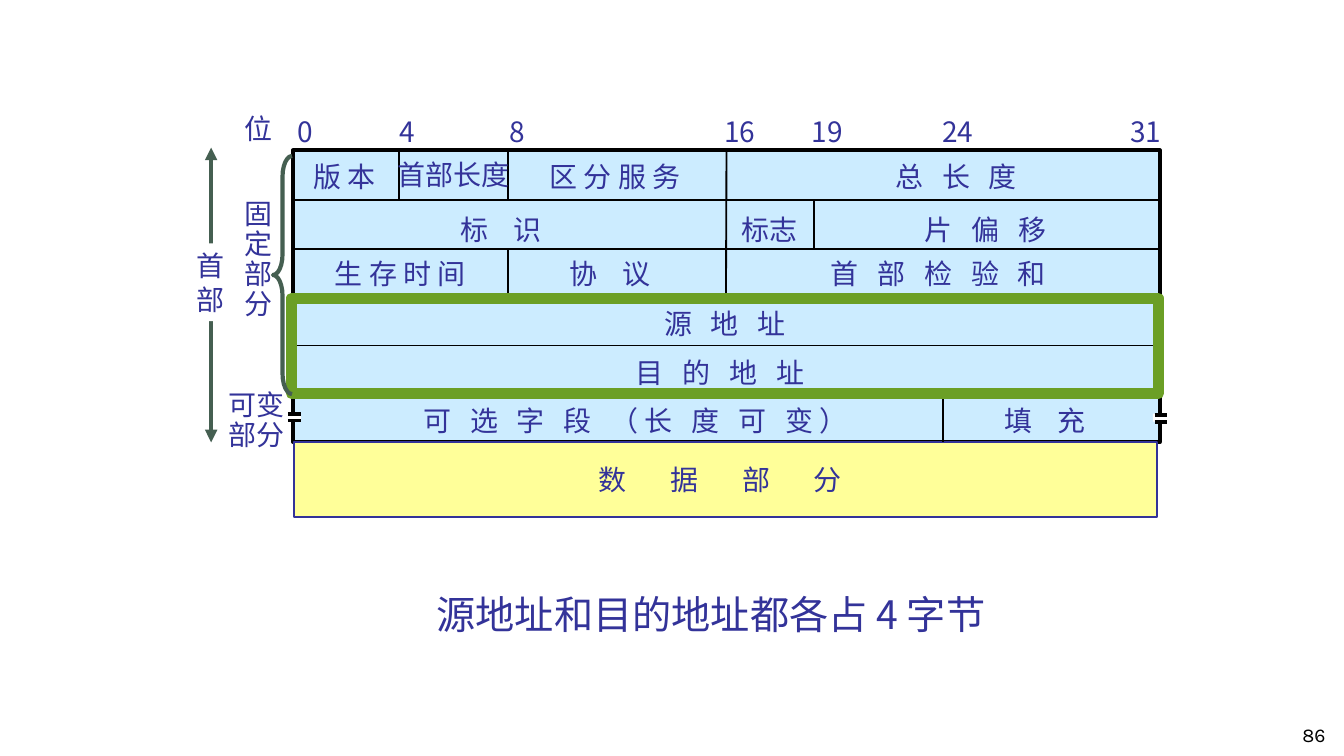
from lxml import etree
from pptx import Presentation
from pptx.dml.color import RGBColor
from pptx.enum.shapes import MSO_CONNECTOR, MSO_SHAPE
from pptx.enum.text import MSO_ANCHOR, MSO_AUTO_SIZE, PP_ALIGN
from pptx.oxml.ns import qn
from pptx.util import Cm, Pt

NAVY = RGBColor(0x33, 0x33, 0x99)
BLACK = RGBColor(0, 0, 0)
WHITE = RGBColor(0xFF, 0xFF, 0xFF)
SKY = RGBColor(0xCC, 0xEC, 0xFF)
YELLOW = RGBColor(0xFF, 0xFF, 0x99)
GREEN = RGBColor(0x6B, 0x9F, 0x25)
SLATE = RGBColor(0x45, 0x5F, 0x51)
CJK = "Noto Sans CJK SC"
SPACE_WIDTH = 336

BIT_X = {0: 5.54, 4: 7.54, 8: 9.6, 16: 13.72, 19: 15.39, 24: 17.83, 32: 21.93}
ROW_Y = [2.84, 3.78, 4.7, 5.61, 6.53, 7.47, 8.36]
DIVIDERS = [(4, 0, 1), (8, 0, 1), (8, 2, 3), (24, 5, 6), (19, 1, 2)]

BIT_LABELS = [("0", 5.44), ("4", 7.37), ("8", 9.45), ("16", 13.51),
              ("19", 15.16), ("24", 17.63), ("31", 21.18)]

# text, spaces' worth of gap between characters, left, width
FIELD_ROWS = [
    (2.92, [("版 本", 1, 5.74, 1.6), ("区 分 服 务", 1, 10.21, 3),
            ("总 长 度", 3, 16.74, 2.95)]),
    (2.87, [("首部长度", 1, 7.34, 2.51)]),
    (3.91, [("标 识", 4, 8.53, 2.08), ("标志", 1, 13.84, 1.45),
            ("片 偏 移", 3, 17.3, 2.95)]),
    (4.75, [("生 存 时 间", 1, 6.15, 3), ("协 议", 4, 10.59, 2.08),
            ("首 部 检 验 和", 3, 15.52, 4.98)]),
    (5.69, [("源 地 址", 3, 12.37, 2.95)]),
    (6.63, [("目 的 地 址", 3, 11.84, 3.96)]),
    (7.52, [("可 选 字 段 （长 度 可 变）", 3, 7.82, 8.94),
            ("填 充", 4, 18.8, 2.08)]),
    (8.64, [("数 据 部 分", 7, 11.13, 6.07)]),
]
SIDE_LABELS = [("位", 4.45, 2.01, 0.91, 0.84, 1),
               ("固\n定\n部\n分", 4.45, 3.68, 0.91, 2.49, 0.9),
               ("可变\n部分", 4.14, 7.29, 1.45, 1.35, 0.9)]
BREAKS = [(5.41, 7.8), (21.79, 7.82)]
CAPTION = "源地址和目的地址都各占 4 字节"


def add_box(slide, kind, x, y, w, h, fill=None, line=None, weight=1):
    sp = slide.shapes.add_shape(kind, Cm(x), Cm(y), Cm(w), Cm(h))
    sp.shadow.inherit = False
    if fill is None:
        sp.fill.background()
    else:
        sp.fill.solid()
        sp.fill.fore_color.rgb = fill
    if line is None:
        sp.line.fill.background()
    else:
        sp.line.color.rgb = line
        sp.line.width = Pt(weight)
    return sp


def add_line(slide, x1, y1, x2, y2, color=BLACK, weight=1):
    line = slide.shapes.add_connector(MSO_CONNECTOR.STRAIGHT,
                                      Cm(x1), Cm(y1), Cm(x2), Cm(y2))
    line.line.color.rgb = color
    line.line.width = Pt(weight)
    etree.SubElement(line._element.spPr, qn("a:effectLst"))
    return line


def write(sp, text, size=15, spacing=1, gap=1):
    tf = sp.text_frame
    tf.text = text
    tf.word_wrap = False
    tf.auto_size = MSO_AUTO_SIZE.SHAPE_TO_FIT_TEXT
    tf.vertical_anchor = MSO_ANCHOR.TOP
    tf.margin_left = tf.margin_right = Cm(0.18)
    tf.margin_top = tf.margin_bottom = Cm(0.1)
    for p in tf.paragraphs:
        p.alignment = PP_ALIGN.LEFT
        p.line_spacing = spacing
        for r in p.runs:
            r.font.size = Pt(size)
            r.font.name = CJK
            r.font.color.rgb = NAVY
            rpr = r.font._element
            etree.SubElement(rpr, qn("a:ea")).set("typeface", CJK)
            if gap > 1:
                rpr.set("spc", str((gap - 1) * SPACE_WIDTH // 2))
    return tf


def add_label(slide, text, x, y, w, h=0.84, **style):
    sp = slide.shapes.add_textbox(Cm(x), Cm(y), Cm(w), Cm(h))
    return write(sp, text, **style)


def add_header_arrow(slide):
    arrow = add_line(slide, 3.99, 2.79, 3.99, 8.36, SLATE, 2.25)
    ln = arrow.line._get_or_add_ln()
    for end in ("a:headEnd", "a:tailEnd"):
        etree.SubElement(ln, qn(end)).set("type", "triangle")
    write(add_box(slide, MSO_SHAPE.RECTANGLE, 3.53, 4.6, 0.91, 1.47, WHITE), "首\n部")


def add_grid(slide):
    header = add_box(slide, MSO_SHAPE.RECTANGLE, BIT_X[0], ROW_Y[0], 16.38,
                     ROW_Y[-1] - ROW_Y[0], SKY, BLACK, 2)
    add_box(slide, MSO_SHAPE.RECTANGLE, 5.56, ROW_Y[-1], 16.31, 1.42, YELLOW, NAVY)
    rules = [add_line(slide, BIT_X[0], y, BIT_X[32], y) for y in ROW_Y[1:-1]]
    rules[2].begin_connect(header, 1)
    rules[2].end_connect(header, 3)
    for bit, top, bottom in DIVIDERS:
        add_line(slide, BIT_X[bit], ROW_Y[top], BIT_X[bit], ROW_Y[bottom])
    middle = add_line(slide, BIT_X[16], ROW_Y[0], BIT_X[16], ROW_Y[3])
    middle.begin_connect(header, 0)


def main():
    prs = Presentation()
    prs.slide_width, prs.slide_height = Cm(25.4), Cm(14.29)
    slide = prs.slides.add_slide(prs.slide_layouts[6])

    add_header_arrow(slide)
    add_grid(slide)
    for text, x in BIT_LABELS:
        add_label(slide, text, x, 2.06, 0.69 if len(text) == 1 else 1.02)
    for y, fields in FIELD_ROWS:
        for text, gap, x, w in fields:
            add_label(slide, text, x, y, w, gap=gap)
    for text, x, y, w, h, spacing in SIDE_LABELS:
        add_label(slide, text, x, y, w, h, spacing=spacing)

    for x, y in BREAKS:
        add_box(slide, MSO_SHAPE.RECTANGLE, x, y, 0.28, 0.15, WHITE)
        for dy in (0.02, 0.15):
            add_line(slide, x + 0.03, y + dy, x + 0.27, y + dy, weight=2)

    add_box(slide, MSO_SHAPE.RECTANGLE, 5.51, 5.64, 16.38, 1.8, line=GREEN, weight=6)
    brace = add_box(slide, MSO_SHAPE.LEFT_BRACE, 5.16, 2.95, 0.36, 4.5,
                    line=SLATE, weight=2.25)
    brace.adjustments[0] = 1.08

    tf = add_label(slide, CAPTION, 8, 11.02, 11.13, 1.14, size=21)
    tf.word_wrap = True
    tf.margin_left = tf.margin_right = Cm(0.25)
    tf.margin_top = tf.margin_bottom = Cm(0.13)

    number = slide.shapes.add_textbox(Cm(23.83), Cm(13.51), Cm(1.47), Cm(0.76))
    tf = number.text_frame
    tf.text = "86"
    tf.word_wrap = True
    tf.vertical_anchor = MSO_ANCHOR.MIDDLE
    p = tf.paragraphs[0]
    p.alignment = PP_ALIGN.RIGHT
    p.font.size = Pt(10.5)
    p.font.name = "Karla"
    p.font.color.rgb = BLACK

    prs.save("out.pptx")


if __name__ == "__main__":
    main()
